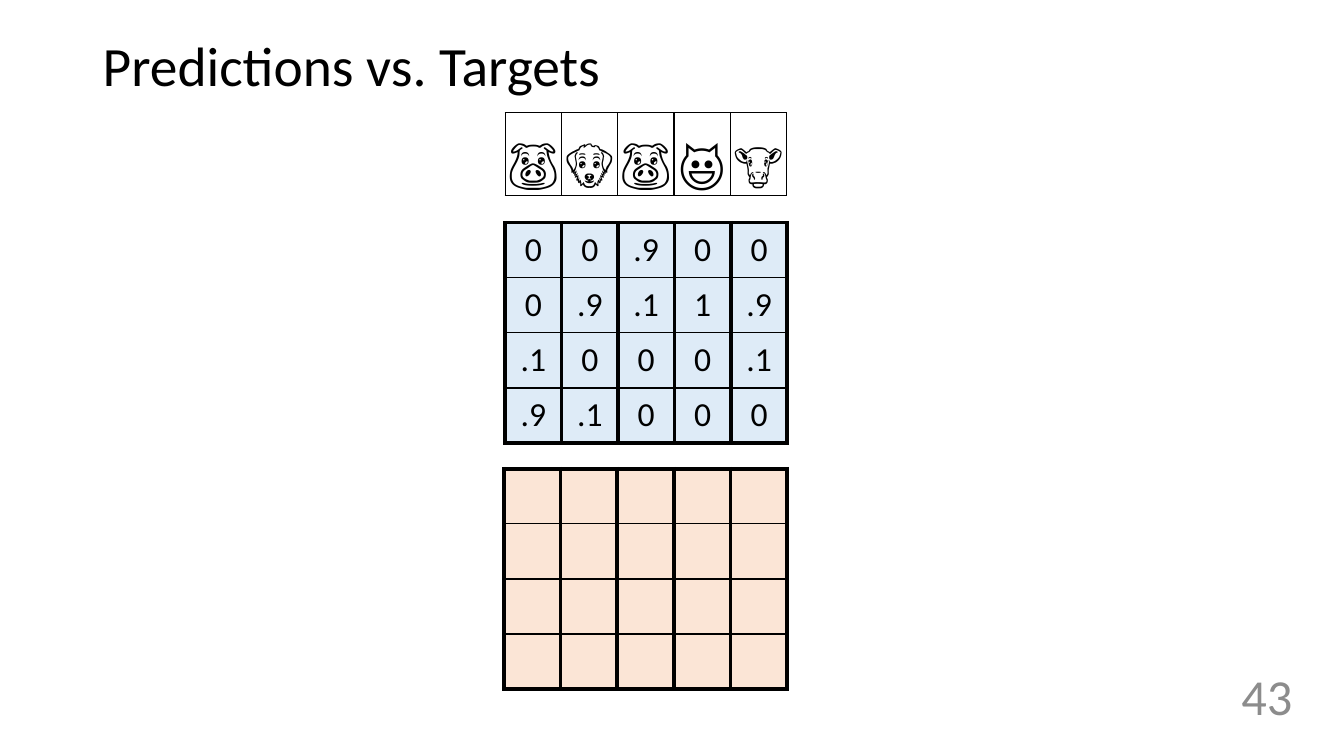
from lxml.etree import SubElement
from pptx import Presentation
from pptx.dml.color import RGBColor
from pptx.enum.text import MSO_ANCHOR, PP_ALIGN
from pptx.oxml.ns import qn
from pptx.util import Cm, Pt

BLACK = RGBColor(0x00, 0x00, 0x00)
GRAY = RGBColor(0x8C, 0x8C, 0x8C)
PALE_BLUE = RGBColor(0xDE, 0xEB, 0xF7)
PALE_ORANGE = RGBColor(0xFB, 0xE5, 0xD6)
FONT = "Calibri"
THICK = 3
THIN = 1

ANIMALS = [["🐷", "🐶", "🐷", "😺", "🐮"]]
PREDICTIONS = [
    ["0", "0", ".9", "0", "0"],
    ["0", ".9", ".1", "1", ".9"],
    [".1", "0", "0", "0", ".1"],
    [".9", ".1", "0", "0", "0"],
]
TARGETS = [[""] * 5 for _ in range(4)]


def write_text(text_frame, text, size=24, color=BLACK, align=PP_ALIGN.CENTER, line_spacing=None):
    paragraph = text_frame.paragraphs[0]
    paragraph.alignment = align
    paragraph.line_spacing = line_spacing
    run = paragraph.add_run()
    run.text = text
    run.font.name = FONT
    run.font.size = Pt(size)
    run.font.color.rgb = color


def add_label(slide, box, text, **text_format):
    shape = slide.shapes.add_textbox(*map(Cm, box))
    text_frame = shape.text_frame
    text_frame.word_wrap = True
    text_frame.vertical_anchor = MSO_ANCHOR.MIDDLE
    write_text(text_frame, text, **text_format)


def add_border(cell, side, width):
    properties = cell._tc.get_or_add_tcPr()
    line = SubElement(properties, qn(f"a:ln{side}"), w=str(Pt(width)))
    fill = SubElement(line, qn("a:solidFill"))
    SubElement(fill, qn("a:srgbClr"), val=str(BLACK))


def add_grid(slide, box, values, fill=None, outline=THIN, size=24,
             anchor=MSO_ANCHOR.MIDDLE, margins=(0.25, 0.13)):
    left, top, width, height = box
    row_count, column_count = len(values), len(values[0])
    table = slide.shapes.add_table(row_count, column_count, *map(Cm, box)).table
    table.first_row = False
    table.horz_banding = False
    for column in table.columns:
        column.width = Cm(width / column_count)
    for row in table.rows:
        row.height = Cm(height / row_count)
    for row_index, row_values in enumerate(values):
        borders = {
            "L": outline,
            "R": outline,
            "T": outline if row_index == 0 else THIN,
            "B": outline if row_index == row_count - 1 else THIN,
        }
        for column_index, value in enumerate(row_values):
            cell = table.cell(row_index, column_index)
            cell.vertical_anchor = anchor
            cell.margin_left = cell.margin_right = Cm(margins[0])
            cell.margin_top = cell.margin_bottom = Cm(margins[1])
            for side, line_width in borders.items():
                add_border(cell, side, line_width)
            if fill is None:
                cell.fill.background()
            else:
                cell.fill.solid()
                cell.fill.fore_color.rgb = fill
            if value:
                write_text(cell.text_frame, value, size=size)


def main():
    presentation = Presentation()
    presentation.slide_width = Cm(33.87)
    presentation.slide_height = Cm(19.05)
    slide = presentation.slides.add_slide(presentation.slide_layouts[6])

    add_label(slide, (2.34, 1.02, 29.21, 1.4), "Predictions vs. Targets",
              size=39.6, align=PP_ALIGN.LEFT, line_spacing=0.9)
    add_label(slide, (29.64, 16.43, 3.18, 2.18), "43",
              size=36, color=GRAY, align=PP_ALIGN.RIGHT)
    add_grid(slide, (12.73, 5.61, 7.11, 5.56), PREDICTIONS, fill=PALE_BLUE, outline=THICK)
    add_grid(slide, (12.7, 11.81, 7.14, 5.56), TARGETS, fill=PALE_ORANGE, outline=THICK)
    add_grid(slide, (12.73, 2.84, 7.09, 2.08), ANIMALS,
             size=36, anchor=MSO_ANCHOR.BOTTOM, margins=(0, 0))

    presentation.save("out.pptx")


if __name__ == "__main__":
    main()
